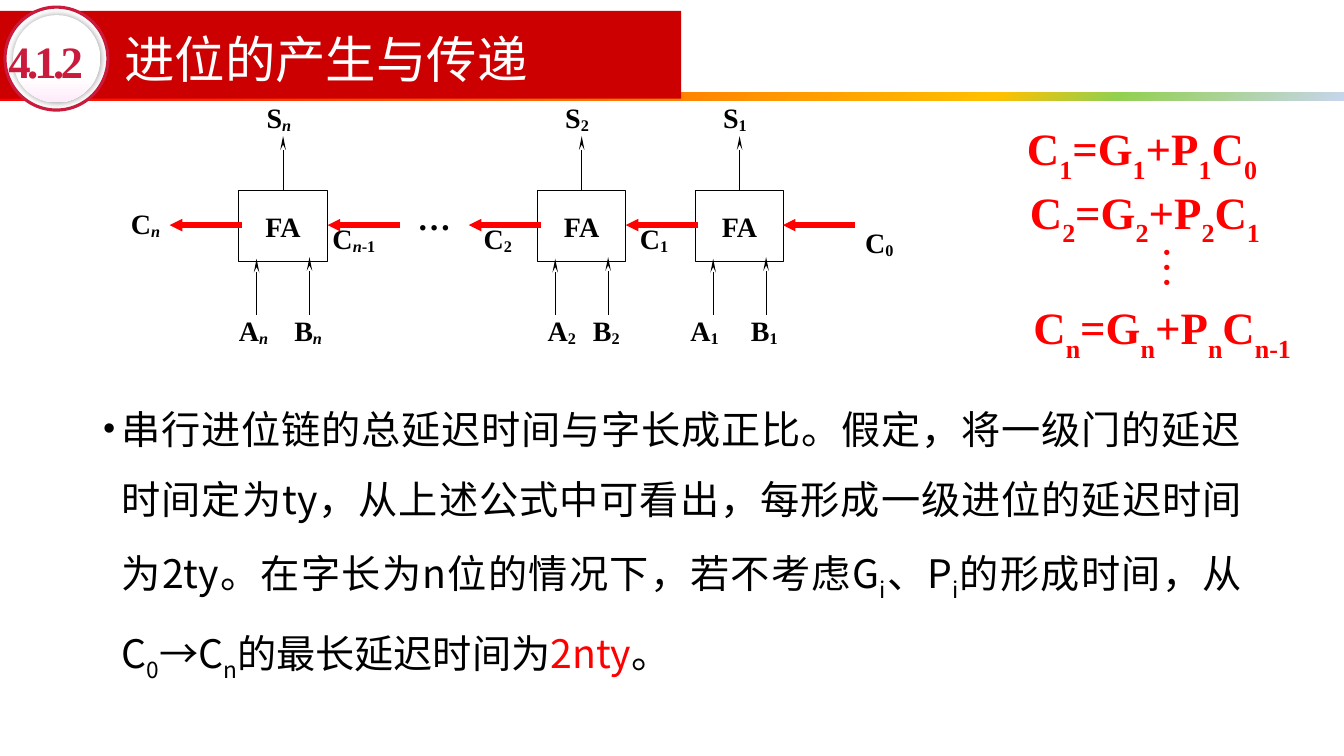
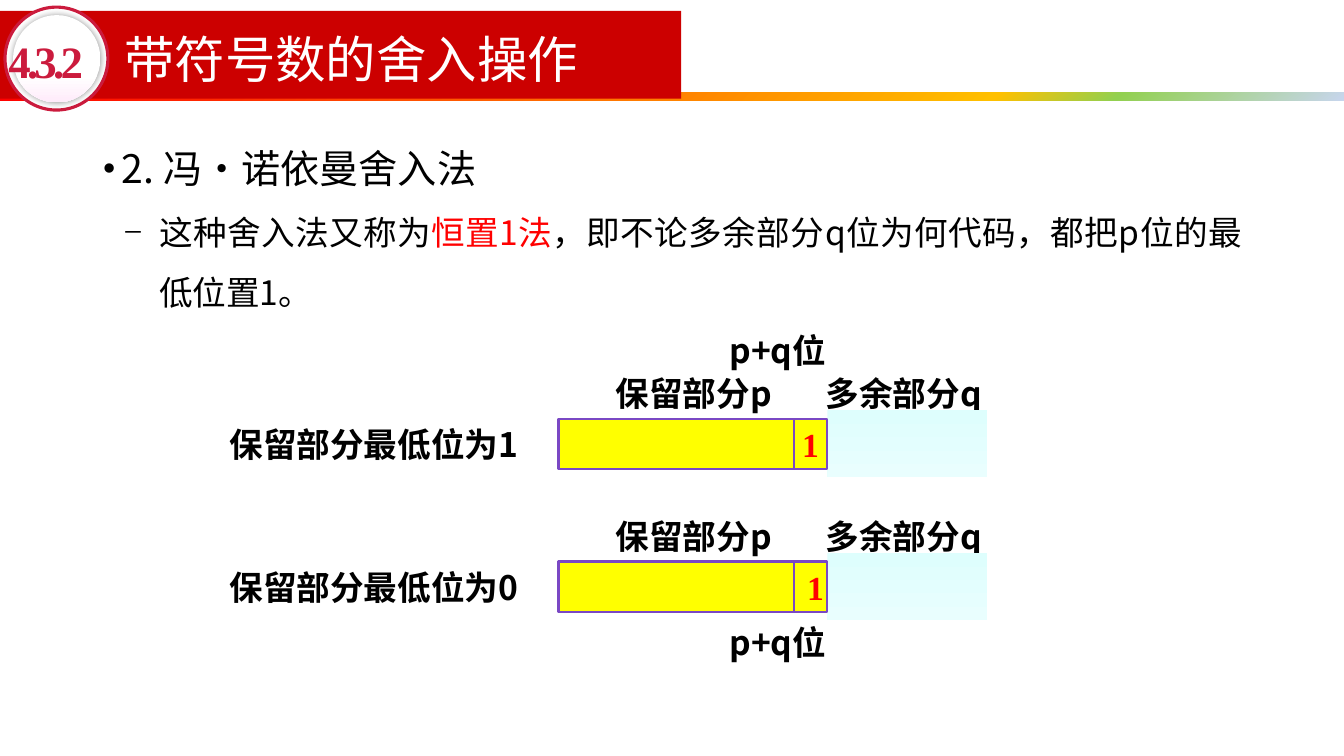
"""Two slides on carry chains and rounding of signed numbers."""
import dataclasses

import lxml.etree
import pptx
import pptx.dml.color
import pptx.enum.shapes
import pptx.enum.text
import pptx.oxml.ns
import pptx.util

COLUMNS, ROWS = 160, 90
WIDTH, HEIGHT = pptx.util.Inches(13.33), pptx.util.Inches(7.5)
SHAPES = pptx.enum.shapes.MSO_SHAPE
ALIGN = pptx.enum.text.PP_ALIGN
ANCHOR = pptx.enum.text.MSO_ANCHOR


@dataclasses.dataclass(frozen=True)
class Theme:
    """Colours, fonts and type sizes of the presentation."""

    white: str = "FFFFFF"
    black: str = "000000"
    red: str = "FF0000"
    bar: str = "CC0000"
    badge: str = "CB1B3D"
    cell: str = "FFFF00"
    cell_line: str = "7A48C4"
    rainbow: tuple = ((0, "FF0000"), (74, "FFC000"), (83, "92D050"), (100, "C7D5ED"))
    disc: tuple = ((0, "FFFFFF"), (70, "FFFFFF"), (100, "FFEBFA"))
    surplus: tuple = ((0, "DEFEFD"), (100, "E9FEFE"))
    sans: str = "Noto Sans CJK SC"
    serif: str = "Times New Roman"
    title: int = 36
    large: int = 32
    body: int = 28
    detail: int = 24
    label: int = 20


THEME = Theme()
SUB = {"baseline": -25000}
FORMULA_SUB = {"baseline": -30000}
LABEL_SUB = {"baseline": -10000}
RED = {"color": THEME.red}
FORMULA = {"size": THEME.large, "name": THEME.serif, "bold": True, "color": THEME.red}
LABEL = {"size": THEME.label, "name": THEME.serif, "bold": True}
CAPTION = {"size": THEME.detail, "bold": True}
DIGIT = {**CAPTION, "name": THEME.serif, "color": THEME.red}


def column(count):
    """Return the length of a number of grid columns."""
    return round(WIDTH * count / COLUMNS)


def row(count):
    """Return the length of a number of grid rows."""
    return round(HEIGHT * count / ROWS)


def box(left, top, width, height):
    """Return a grid rectangle as slide lengths."""
    return column(left), row(top), column(width), row(height)


def rgb(value):
    """Return a colour object for a hexadecimal string."""
    return pptx.dml.color.RGBColor.from_string(value)


def apply_format(target, values):
    """Set each named attribute on the target."""
    for name, value in values.items():
        setattr(target, name, value)


def add_element(parent, tag, **attributes):
    """Append a DrawingML element with the given attributes."""
    element = lxml.etree.SubElement(parent, pptx.oxml.ns.qn(f"a:{tag}"))
    for name, value in attributes.items():
        element.set(name, str(value))
    return element


def add_run(paragraph, text, values):
    """Add a run in the theme's sans font unless the values say otherwise."""
    style = {"name": THEME.sans, "color": THEME.black, **values}
    run = paragraph.add_run()
    run.text = text
    run.font.color.rgb = rgb(style.pop("color"))
    properties = run._r.get_or_add_rPr()
    for name in ("baseline", "spc"):
        if name in style:
            properties.set(name, str(style.pop(name)))
    style["size"] = pptx.util.Pt(style["size"])
    apply_format(run.font, style)
    latin = properties.find(pptx.oxml.ns.qn("a:latin"))
    east_asian = add_element(properties, "ea", typeface=style["name"])
    latin.addnext(east_asian)


def fill_paragraph(paragraph, runs, style, **values):
    """Format a paragraph and add its runs of (text, changes)."""
    apply_format(paragraph, values)
    for text, changes in runs:
        add_run(paragraph, text, {**style, **changes})


def add_text(slide, place, runs, style, align=ALIGN.LEFT, **frame_values):
    """Add a text box with one paragraph."""
    shape = slide.shapes.add_textbox(*box(*place))
    apply_format(shape.text_frame, {"word_wrap": True, **frame_values})
    fill_paragraph(shape.text_frame.paragraphs[0], runs, style, alignment=align)
    return shape


def add_caption(slide, place, text, style=CAPTION):
    """Add centred text in the middle of its place."""
    add_text(slide, place, [(text, {})], style, ALIGN.CENTER,
             vertical_anchor=ANCHOR.MIDDLE, margin_left=0, margin_right=0)


def set_gradient(shape, stops, angle):
    """Fill a shape with a linear gradient of (percent, colour) stops."""
    shape.fill.gradient()
    gradient = shape.element.spPr.find(pptx.oxml.ns.qn("a:gradFill"))
    for child in list(gradient):
        gradient.remove(child)
    stop_list = add_element(gradient, "gsLst")
    for percent, color in stops:
        stop = add_element(stop_list, "gs", pos=percent * 1000)
        add_element(stop, "srgbClr", val=color)
    add_element(gradient, "lin", ang=angle * 60000, scaled=0)


def add_block(slide, place, fill=None, line=None, weight=1.5, kind=SHAPES.RECTANGLE):
    """Add a preset shape with an optional plain fill and outline."""
    shape = slide.shapes.add_shape(kind, *box(*place))
    shape.shadow.inherit = False
    if fill:
        shape.fill.solid()
        shape.fill.fore_color.rgb = rgb(fill)
    else:
        shape.fill.background()
    if line:
        shape.line.color.rgb = rgb(line)
        shape.line.width = pptx.util.Pt(weight)
    else:
        shape.line.fill.background()
    return shape


def add_line(slide, start, end, color, weight, **head):
    """Add a straight line, with an arrowhead at its end if one is given."""
    connector = slide.shapes.add_connector(
        pptx.enum.shapes.MSO_CONNECTOR.STRAIGHT,
        column(start[0]), row(start[1]), column(end[0]), row(end[1]))
    connector.line.color.rgb = rgb(color)
    connector.line.width = pptx.util.Pt(weight)
    if head:
        add_element(connector.line._get_or_add_ln(), "tailEnd", **head)
    add_element(connector.element.spPr, "effectLst")


def add_bulleted_text(slide, place, items):
    """Add justified bullets of (symbol, margin, hang, size, runs)."""
    frame = slide.shapes.add_textbox(*box(*place)).text_frame
    frame.word_wrap = True
    for index, (symbol, margin, hang, size, runs) in enumerate(items):
        paragraph = frame.add_paragraph() if index else frame.paragraphs[0]
        properties = paragraph._p.get_or_add_pPr()
        properties.set("marL", str(column(margin)))
        properties.set("indent", str(-column(hang)))
        add_element(properties, "buFont", typeface=THEME.serif)
        add_element(properties, "buChar", char=symbol)
        fill_paragraph(paragraph, runs, {"size": size},
                       alignment=ALIGN.JUSTIFY, line_spacing=1.5)


def add_titled_slide(presentation, number, title):
    """Add a slide with the shared band, badge and title."""
    slide = presentation.slides.add_slide(presentation.slide_layouts.get_by_name("Title Only"))
    set_gradient(add_block(slide, (0, 11, COLUMNS, 1)), THEME.rainbow, 45)
    add_block(slide, (0, 1.3, 81.1, 10.45), THEME.bar)
    add_block(slide, (0.6, 0.85, 12.25, 12.25), THEME.white, THEME.badge, 2.25, SHAPES.OVAL)
    disc = add_block(slide, (1.55, 1.8, 10.4, 10.4), kind=SHAPES.OVAL)
    set_gradient(disc, THEME.disc, 90)
    effects = disc.element.spPr.find(pptx.oxml.ns.qn("a:effectLst"))
    shadow = add_element(effects, "outerShdw", blurRad=pptx.util.Pt(5), dist=0, dir=0)
    add_element(add_element(shadow, "srgbClr", val=THEME.black), "alpha", val=40000)
    heading = slide.shapes.title
    apply_format(heading, dict(zip(("left", "top", "width", "height"),
                                   box(13.6, 2.5, 89.3, 9.8))))
    apply_format(heading.text_frame, {"vertical_anchor": ANCHOR.MIDDLE, "word_wrap": True})
    fill_paragraph(heading.text_frame.paragraphs[0], [(title, {})],
                   {"size": THEME.title, "color": THEME.white},
                   alignment=ALIGN.LEFT, line_spacing=0.9)
    heading.element.getparent().append(heading.element)
    add_text(slide, (1, 4, 11.2, 6.5), [(number, {})],
             {**FORMULA, "color": THEME.badge, "spc": -270}, vertical_anchor=ANCHOR.MIDDLE,
             margin_left=0, margin_top=0, margin_right=0, margin_bottom=0)
    return slide


def add_signal(slide, left, top, letter, index, rest=""):
    """Add a signal name with its index."""
    runs = [(letter, {}), (index, {**LABEL_SUB, "italic": index == "n"})]
    if rest:
        runs.append((rest, LABEL_SUB))
    add_text(slide, (left, top, 12, 5.2), runs, LABEL)


def add_adder(slide, left, index, a_shift):
    """Add a full adder with its sum output and two inputs."""
    top, bottom = 22.65, 31.15
    adder = add_block(slide, (left, top, 10.5, bottom - top), line=THEME.black, weight=0.75)
    apply_format(adder.text_frame, {"word_wrap": False, "vertical_anchor": ANCHOR.MIDDLE})
    fill_paragraph(adder.text_frame.paragraphs[0], [("FA", {})], LABEL, alignment=ALIGN.CENTER)
    for shift, start, end in ((5.25, top, 16.2), (2.1, 37.5, 30.8), (8.4, 37.5, 30.6)):
        add_line(slide, (left + shift, start), (left + shift, end), THEME.black, 0.75,
                 type="stealth", w="sm", len="lg")
    for letter, shift, label_top in (("S", 2.1, 11.4), ("A", a_shift, 36.7), ("B", 5.4, 36.7)):
        add_signal(slide, left + shift, label_top, letter, index)


def add_formula(slide, top, width, index, previous):
    """Add the carry formula of one position."""
    runs = []
    for symbol, subscript in zip(("C", "=G", "+P", "C"), (index, index, index, previous)):
        runs += [(symbol, {}), (subscript, FORMULA_SUB)]
    add_text(slide, (120.3, top, width, 7.5), runs, FORMULA, ALIGN.CENTER)


def build_carry_slide(presentation):
    """Build the slide on how carries arise and travel."""
    slide = add_titled_slide(presentation, "4.1.2", "进位的产生与传递")
    add_bulleted_text(slide, (11, 44.8, 138, 38), [("•", 2.3, 2.3, THEME.body, [
        ("串行进位链的总延迟时间与字长成正比。假定，将一级门的延迟时间定为ty，"
         "从上述公式中可看出，每形成一级进位的延迟时间为2ty。"
         "在字长为n位的情况下，若不考虑G", {}),
        ("i", SUB), ("、P", {}), ("i", SUB), ("的形成时间，从C", {}), ("0", SUB),
        ("→C", {}), ("n", SUB), ("的最长延迟时间为", {}), ("2nty", RED), ("。", {})])])
    for formula in ((13.8, 31.3, "1", "0"), (21.4, 32, "2", "1"), (35.1, 36.1, "n", "n-1")):
        add_formula(slide, *formula)
    dots = add_text(slide, (135.7, 28.1, 8.9, 8.4), [("…", {})],
                    {**FORMULA, "bold": False}, ALIGN.CENTER)
    dots.element.txBody.bodyPr.set("vert", "eaVert")
    for adder in ((28.45, "n", -1.2), (64, "2", 0), (82.8, "1", -1.8)):
        add_adder(slide, *adder)
    for carry in ((14.4, 24, "C", "n"), (38.4, 25.8, "C", "n", "-1"), (56.4, 25.8, "C", "2"),
                  (75, 25.8, "C", "1"), (101.8, 26.3, "C", "0")):
        add_signal(slide, *carry)
    add_text(slide, (48.5, 22.8, 8, 6), [("…", {})], {**LABEL, "size": THEME.detail})
    for tip in (93.2, 74.5, 55.8, 39, 20.2):
        add_line(slide, (tip + 8.6, 26.8), (tip, 26.8), THEME.red, 4.5,
                 type="triangle", w="sm", len="sm")


def add_register(slide, top, lowest_bit, digit_left):
    """Add a register with its kept part, forced bit and surplus part."""
    add_caption(slide, (70.1, top - 6, 25, 6), "保留部分p")
    add_caption(slide, (95.1, top - 6, 25, 6), "多余部分q")
    set_gradient(add_block(slide, (98.5, top - 1, 19, 8)), THEME.surplus, 90)
    add_block(slide, (66.5, top, 32, 6), THEME.cell, THEME.cell_line)
    add_line(slide, (94.55, top), (94.55, top + 6), THEME.cell_line, 1.5)
    add_caption(slide, (digit_left, top, 4, 6), "1", DIGIT)
    add_caption(slide, (21.5, top, 46, 6), f"保留部分最低位为{lowest_bit}")


def build_rounding_slide(presentation):
    """Build the slide on rounding by a forced one."""
    slide = add_titled_slide(presentation, "4.3.2", "带符号数的舍入操作")
    add_bulleted_text(slide, (11, 13.8, 138, 24), [
        ("•", 2.3, 2.3, THEME.body, [("2. 冯·诺依曼舍入法", {})]),
        ("−", 6.75, 4.2, THEME.detail, [
            ("这种舍入法又称为", {}), ("恒置1法", RED),
            ("，即不论多余部分q位为何代码，都把p位的最低位置1。", {})])])
    for register in ((49.85, 1, 94.5), (66.85, 0, 95.1)):
        add_register(slide, *register)
    for top in (38.7, 73.4):
        add_caption(slide, (80.1, top, 25, 6), "p+q位")


def main():
    """Build and save the presentation."""
    presentation = pptx.Presentation()
    apply_format(presentation, {"slide_width": WIDTH, "slide_height": HEIGHT})
    build_carry_slide(presentation)
    build_rounding_slide(presentation)
    presentation.save("out.pptx")


if __name__ == "__main__":
    main()
